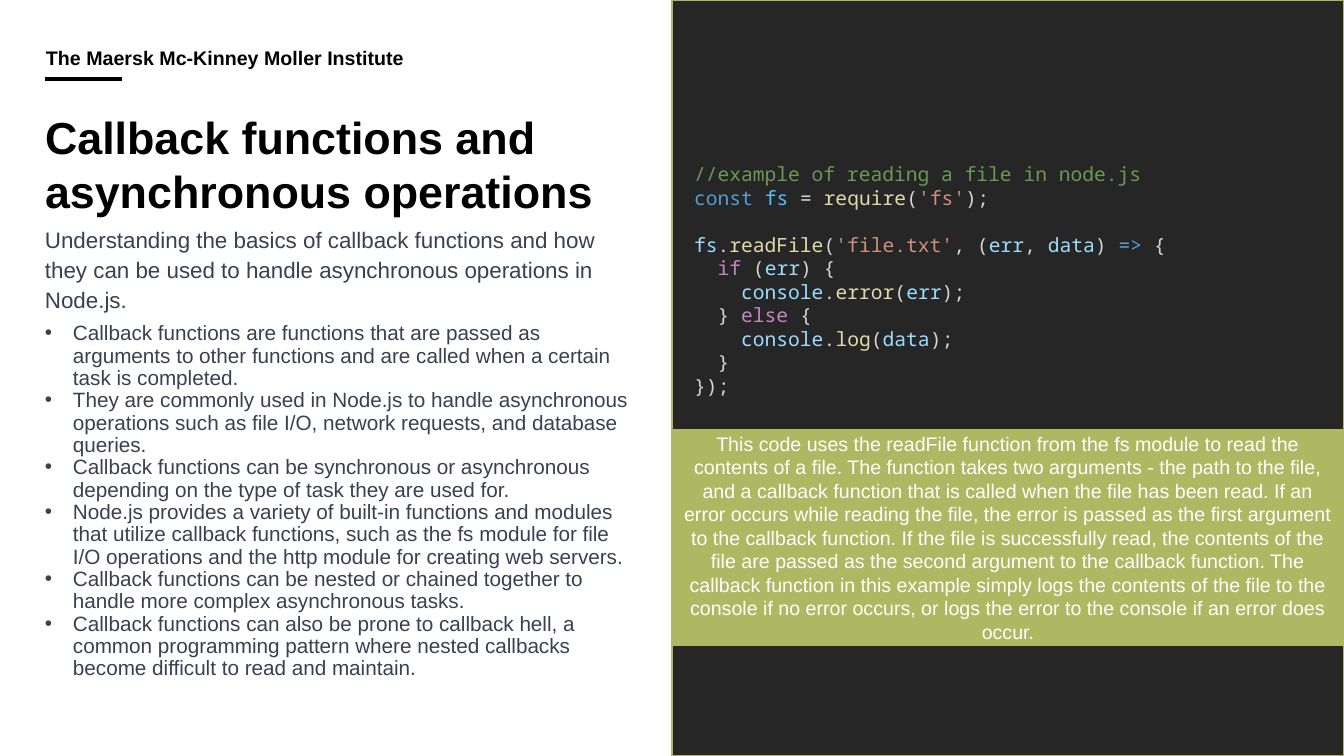
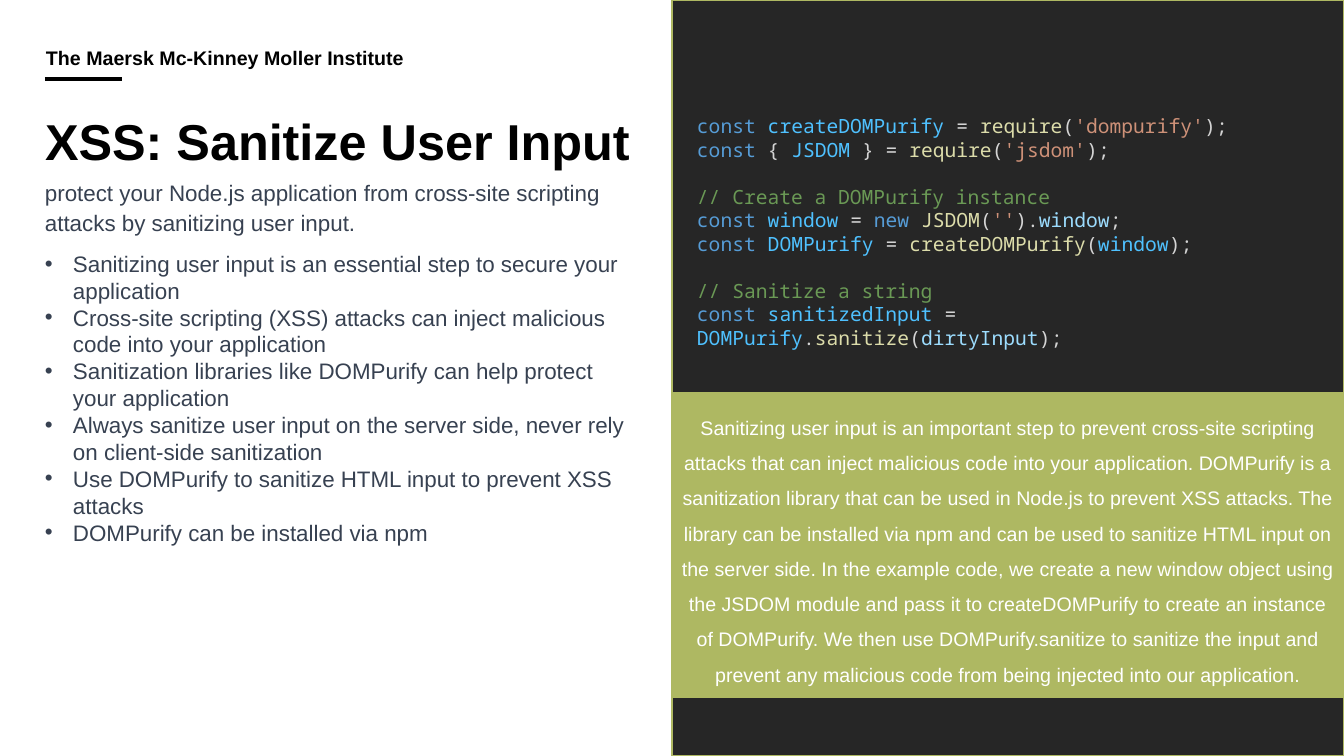
from lxml import etree
from pptx import Presentation
from pptx import util as u
from pptx.dml.color import RGBColor
from pptx.enum import shapes, text
from pptx.oxml import ns

PX_PER_INCH = 100.8
WIDTH, HEIGHT = 1344, 756
HALF = WIDTH // 2
LEFT = 45
COLUMN = 589
CODE_LINE = 16.8

# One letter per kind of code token
CODE_COLOURS = {
    "c": "6A9955",  # comment
    "k": "569CD6",  # keyword
    "w": "C586C0",  # control flow
    "n": "4FC1FF",  # constant
    "v": "9CDCFE",  # variable
    "f": "DCDCAA",  # function
    "s": "CE9178",  # string
    "p": "D4D4D4",  # punctuation
}


def px(length):
    return u.Inches(length / PX_PER_INCH)


def rgb(value):
    return RGBColor.from_string(value)


class Deck:
    BLACK, WHITE, BODY = "000000", "FFFFFF", "374151"
    PANEL, ACCENT = "262626", "AEB862"
    SANS, MONO = "Arial", "Noto Sans Mono"

    def __init__(self):
        self.prs = Presentation()
        self.prs.slide_width, self.prs.slide_height = px(WIDTH), px(HEIGHT)
        self.slide = None

    def new_slide(self):
        """Add a slide with the parts every slide shares."""
        self.slide = self.prs.slides.add_slide(self.prs.slide_layouts[6])
        self.rule(LEFT, 79, 77)
        self.text(["The Maersk Mc-Kinney Moller Institute"], (LEFT, 49, 627, 31),
                  14, self.BLACK, bold=True, spacing=0.9, insets=(1, 0, 0, 10),
                  anchor=text.MSO_ANCHOR.BOTTOM)
        self.panel(0, HEIGHT, self.PANEL)

    def rule(self, x, y, length):
        line = self.slide.shapes.add_connector(
            shapes.MSO_CONNECTOR.STRAIGHT, px(x), px(y), px(x + length), px(y))
        line.line.color.rgb = rgb(self.BLACK)
        line.line.width = u.Pt(3)
        etree.SubElement(line.element.spPr, ns.qn("a:effectLst"))

    def panel(self, top, height, fill):
        """Draw a rectangle over the right half of the slide."""
        panel = self.slide.shapes.add_shape(
            shapes.MSO_SHAPE.RECTANGLE, px(HALF), px(top), px(HALF), px(height))
        panel.shadow.inherit = False
        panel.fill.solid()
        panel.fill.fore_color.rgb = rgb(fill)
        panel.line.color.rgb = rgb(self.ACCENT)
        panel.line.width = u.Pt(1)
        return panel

    def frame(self, box, insets):
        frame = self.slide.shapes.add_textbox(*map(px, box)).text_frame
        self.set_frame(frame, insets)
        return frame

    def set_frame(self, frame, insets):
        frame.word_wrap = True
        (frame.margin_left, frame.margin_top,
         frame.margin_right, frame.margin_bottom) = map(px, insets)

    def style(self, run, size, colour, font, bold=False):
        run.font.name = font
        run.font.size = u.Pt(size)
        run.font.bold = bold
        run.font.color.rgb = rgb(colour)

    def bullet(self, paragraph):
        props = paragraph._p.get_or_add_pPr()
        props.set("marL", str(px(28)))
        props.set("indent", str(-px(28)))
        etree.SubElement(props, ns.qn("a:buFont"), typeface=self.SANS)
        etree.SubElement(props, ns.qn("a:buChar"), char="•")

    def text(self, lines, box, size, colour, bold=False, spacing=None,
             insets=(0, 0, 0, 0), anchor=text.MSO_ANCHOR.TOP, bullets=False):
        frame = self.frame(box, insets)
        frame.vertical_anchor = anchor
        frame.text = "\n".join(lines)
        for paragraph in frame.paragraphs:
            if bullets:
                self.bullet(paragraph)
            paragraph.line_spacing = spacing
            for run in paragraph.runs:
                self.style(run, size, colour, self.SANS, bold)

    def title(self, title, size):
        self.text([title], (LEFT, 110, 605, 131), size, self.BLACK, bold=True)

    def lead(self, sentence, top):
        self.text([sentence], (LEFT, top, COLUMN, 100), 16, self.BODY, spacing=1.1)

    def bullets(self, points, top, height, size, spacing=None):
        self.text(points, (LEFT, top, COLUMN, height), size, self.BODY,
                  spacing=spacing, bullets=True)

    def code(self, lines, box):
        """Write code lines of (kind, text) tokens; an empty line leaves a gap."""
        frame = self.frame(box, (10, 5, 10, 5))
        paragraph, gap = frame.paragraphs[0], False
        for number, tokens in enumerate(lines):
            if not tokens:
                gap = True
                continue
            if number:
                paragraph = frame.add_paragraph()
            if gap:
                paragraph.space_before = u.Pt(CODE_LINE)
            gap = False
            for kind, word in tokens:
                run = paragraph.add_run()
                run.text = word
                self.style(run, 14, CODE_COLOURS[kind], self.MONO)

    def explanation(self, sentence, top, height, spacing=None):
        frame = self.panel(top, height, self.ACCENT).text_frame
        self.set_frame(frame, (8, 8, 8, 8))
        frame.vertical_anchor = text.MSO_ANCHOR.MIDDLE
        frame.text = sentence
        paragraph = frame.paragraphs[0]
        paragraph.alignment = text.PP_ALIGN.CENTER
        paragraph.line_spacing = spacing
        self.style(paragraph.runs[0], 14, self.WHITE, self.SANS)


def callback_slide(deck):
    deck.new_slide()
    deck.title("Callback functions and asynchronous operations", 32)
    deck.lead("Understanding the basics of callback functions and how they can be used "
              "to handle asynchronous operations in Node.js.", 224)
    deck.bullets([
        "Callback functions are functions that are passed as arguments to other "
        "functions and are called when a certain task is completed.",
        "They are commonly used in Node.js to handle asynchronous operations such as "
        "file I/O, network requests, and database queries.",
        "Callback functions can be synchronous or asynchronous depending on the type "
        "of task they are used for.",
        "Node.js provides a variety of built-in functions and modules that utilize "
        "callback functions, such as the fs module for file I/O operations and the "
        "http module for creating web servers.",
        "Callback functions can be nested or chained together to handle more complex "
        "asynchronous tasks.",
        "Callback functions can also be prone to callback hell, a common programming "
        "pattern where nested callbacks become difficult to read and maintain.",
    ], 323, 399, 14.8, spacing=0.9)
    deck.code([
        [("c", "//example of reading a file in node.js")],
        [("k", "const "), ("n", "fs"), ("p", " = "), ("f", "require"), ("p", "("),
         ("s", "'fs'"), ("p", ");")],
        [],
        [("v", "fs"), ("p", "."), ("f", "readFile"), ("p", "("), ("s", "'file.txt'"),
         ("p", ", ("), ("v", "err"), ("p", ", "), ("v", "data"), ("p", ") "),
         ("k", "=>"), ("p", " {")],
        [("w", "  if"), ("p", " ("), ("v", "err"), ("p", ") {")],
        [("v", "    console"), ("p", "."), ("f", "error"), ("p", "("), ("v", "err"),
         ("p", ");")],
        [("p", "  } "), ("w", "else"), ("p", " {")],
        [("v", "    console"), ("p", "."), ("f", "log"), ("p", "("), ("v", "data"),
         ("p", ");")],
        [("p", "  }")],
        [("p", "});")],
    ], (684, 157, 640, 248))
    deck.explanation(
        "This code uses the readFile function from the fs module to read the contents "
        "of a file. The function takes two arguments - the path to the file, and a "
        "callback function that is called when the file has been read. If an error "
        "occurs while reading the file, the error is passed as the first argument to "
        "the callback function. If the file is successfully read, the contents of the "
        "file are passed as the second argument to the callback function. The callback "
        "function in this example simply logs the contents of the file to the console "
        "if no error occurs, or logs the error to the console if an error does occur.",
        430, 215)


def sanitize_slide(deck):
    deck.new_slide()
    deck.title("XSS: Sanitize User Input", 36)
    deck.lead("protect your Node.js application from cross-site scripting attacks by "
              "sanitizing user input.", 177)
    deck.bullets([
        "Sanitizing user input is an essential step to secure your application",
        "Cross-site scripting (XSS) attacks can inject malicious code into your "
        "application",
        "Sanitization libraries like DOMPurify can help protect your application",
        "Always sanitize user input on the server side, never rely on client-side "
        "sanitization",
        "Use DOMPurify to sanitize HTML input to prevent XSS attacks",
        "DOMPurify can be installed via npm",
    ], 250, 304, 16)
    deck.code([
        [("k", "const "), ("n", "createDOMPurify"), ("p", " = "), ("f", "require"),
         ("p", "("), ("s", "'dompurify'"), ("p", ");")],
        [("k", "const"), ("p", " { "), ("n", "JSDOM"), ("p", " } = "),
         ("f", "require"), ("p", "("), ("s", "'jsdom'"), ("p", ");")],
        [],
        [("c", "// Create a DOMPurify instance")],
        [("k", "const "), ("n", "window"), ("p", " = "), ("k", "new "), ("f", "JSDOM"),
         ("p", "("), ("s", "''"), ("p", ")."), ("v", "window"), ("p", ";")],
        [("k", "const "), ("n", "DOMPurify"), ("p", " = "), ("f", "createDOMPurify"),
         ("p", "("), ("n", "window"), ("p", ");")],
        [],
        [("c", "// Sanitize a string")],
        [("k", "const "), ("n", "sanitizedInput"), ("p", " = "), ("n", "DOMPurify"),
         ("p", "."), ("f", "sanitize"), ("p", "("), ("v", "dirtyInput"), ("p", ");")],
    ], (687, 109, 635, 295))
    deck.explanation(
        "Sanitizing user input is an important step to prevent cross-site scripting "
        "attacks that can inject malicious code into your application. DOMPurify is a "
        "sanitization library that can be used in Node.js to prevent XSS attacks. The "
        "library can be installed via npm and can be used to sanitize HTML input on the "
        "server side. In the example code, we create a new window object using the "
        "JSDOM module and pass it to createDOMPurify to create an instance of "
        "DOMPurify. We then use DOMPurify.sanitize to sanitize the input and prevent "
        "any malicious code from being injected into our application.",
        393, 304, spacing=1.5)


def main():
    deck = Deck()
    callback_slide(deck)
    sanitize_slide(deck)
    deck.prs.save("out.pptx")


if __name__ == "__main__":
    main()
